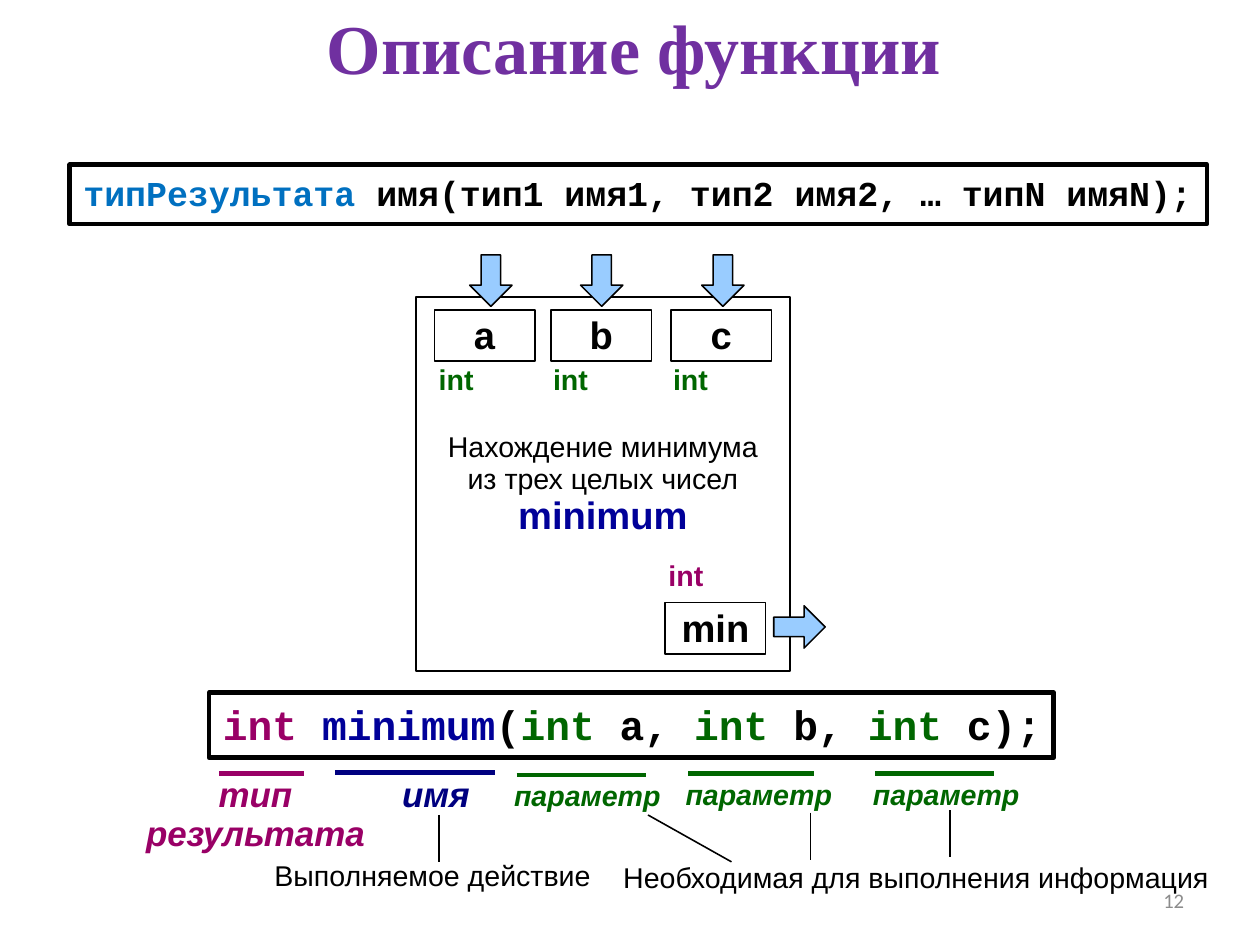
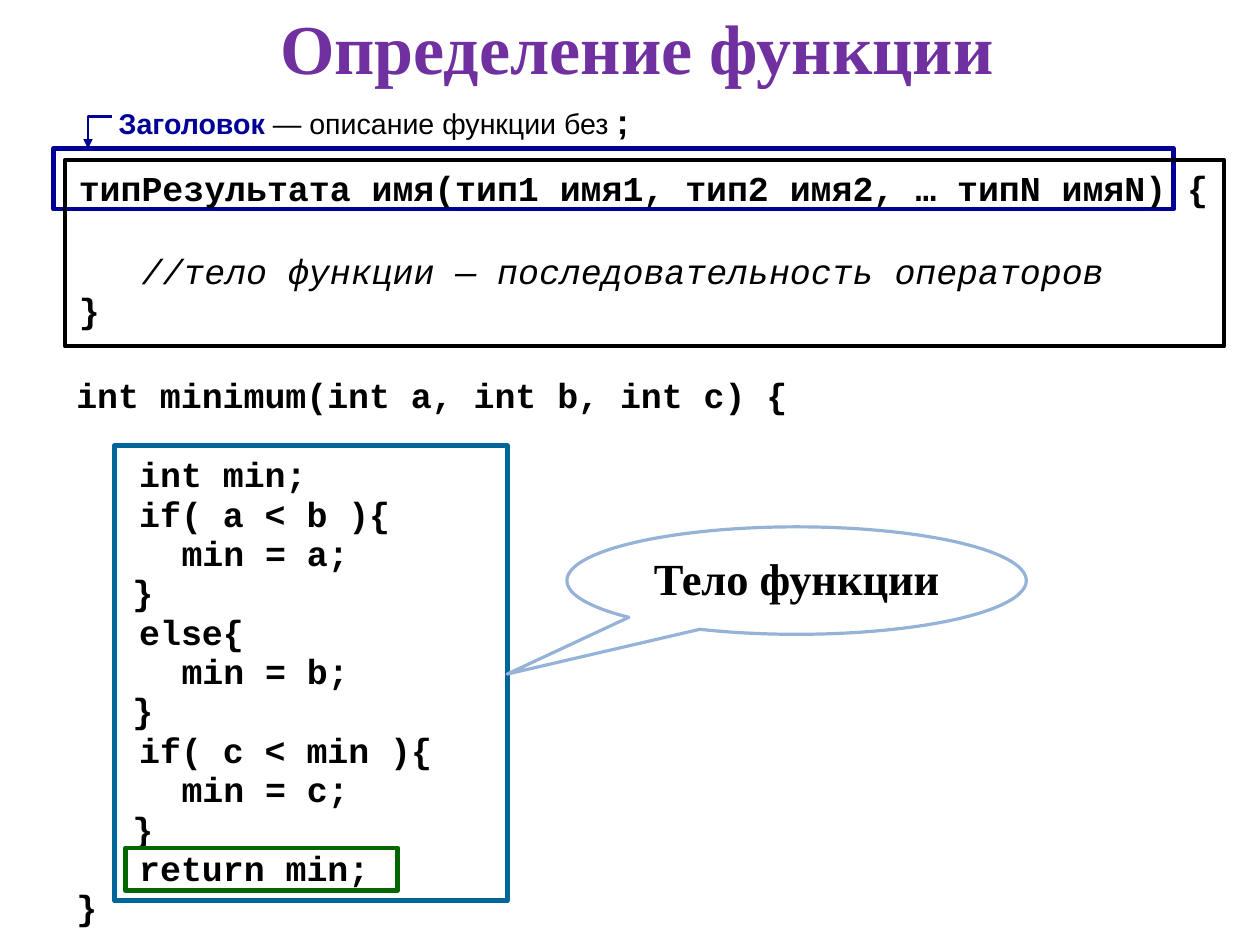
from lxml import etree
from pptx import Presentation
from pptx.dml.color import RGBColor
from pptx.enum import shapes, text
from pptx.oxml import ns
from pptx import util as u

PX = 9144
SLIDE_WIDTH, SLIDE_HEIGHT = u.Emu(10080625), u.Emu(7559675)

BLACK = RGBColor(0x00, 0x00, 0x00)
PURPLE = RGBColor(0x70, 0x30, 0xA0)
GRAY = RGBColor(0x8C, 0x8C, 0x8C)
PLUM = RGBColor(0x99, 0x00, 0x66)
SKY = RGBColor(0x00, 0x70, 0xC0)
BLUE = RGBColor(0x00, 0x00, 0x99)
NAVY = RGBColor(0x00, 0x00, 0x80)
GREEN = RGBColor(0x00, 0x66, 0x00)
TEAL = RGBColor(0x00, 0x66, 0x99)
PALE_BLUE = RGBColor(0x99, 0xCC, 0xFF)
STEEL = RGBColor(0x95, 0xB3, 0xD7)

SANS, SERIF, MONO = "Arial", "Times New Roman", "Courier New"
LEFT, CENTER, RIGHT = text.PP_ALIGN.LEFT, text.PP_ALIGN.CENTER, text.PP_ALIGN.RIGHT
TOP, MIDDLE = text.MSO_ANCHOR.TOP, text.MSO_ANCHOR.MIDDLE
SHAPE = shapes.MSO_SHAPE

LABEL_INSETS = (10, 7, 10, 5)
BOX_INSETS = (11, 8, 11, 6)
CODE_INSETS = (12, 9, 12, 7)
TITLE_INSETS = (11, 4, 11, 6)


def px(*values):
    return [u.Emu(v * PX) for v in values]


def write_run(p, content, size, font, color, bold=False, italic=False):
    for i, line in enumerate(content.split("\n")):
        if i:
            p.add_line_break()
        if not line:
            continue
        r = p.add_run()
        r.text = line
        r.font.size = u.Pt(size)
        r.font.name = font
        r.font.color.rgb = color
        r.font.bold = bold
        r.font.italic = italic


def write_text(sp, paras, align=LEFT, anchor=TOP, insets=LABEL_INSETS, wrap=True,
               spacing=0.93, size=18, font=SANS, color=BLACK, bold=False, italic=False):
    base = dict(size=size, font=font, color=color, bold=bold, italic=italic)
    tf = sp.text_frame
    tf.word_wrap = wrap
    tf.vertical_anchor = anchor
    tf.margin_left, tf.margin_top, tf.margin_right, tf.margin_bottom = px(*insets)
    if isinstance(paras, str):
        paras = [(paras, 0, 0)]
    for i, (runs, indent, before) in enumerate(paras):
        p = tf.paragraphs[0] if i == 0 else tf.add_paragraph()
        p.alignment = align
        p.line_spacing = spacing
        p.space_before = u.Pt(before)
        if indent:
            p._p.get_or_add_pPr().set("marL", str(indent * PX))
        if isinstance(runs, str):
            runs = [(runs, {})]
        for content, changes in runs:
            write_run(p, content, **{**base, **changes})


def add_label(slide, at, paras, **fmt):
    sp = slide.shapes.add_textbox(*px(*at))
    write_text(sp, paras, **fmt)


def style(sp, line, weight, fill=None):
    sp.shadow.inherit = False
    sp.line.color.rgb = line
    sp.line.width = u.Pt(weight)
    if fill is None:
        sp.fill.background()
    else:
        sp.fill.solid()
        sp.fill.fore_color.rgb = fill


def add_figure(slide, kind, at, line=BLACK, weight=1, fill=None, adj=(), paras=None, **fmt):
    sp = slide.shapes.add_shape(kind, *px(*at))
    style(sp, line, weight, fill)
    for i, value in enumerate(adj):
        sp.adjustments[i] = value
    if paras:
        write_text(sp, paras, **fmt)


def add_code_box(slide, at, paras, **fmt):
    add_figure(slide, SHAPE.RECTANGLE, at, weight=2.83, paras=paras, insets=CODE_INSETS,
               wrap=False, spacing=0.94, font=MONO, bold=True, **fmt)


def add_variable(slide, x, y, name):
    add_figure(slide, SHAPE.RECTANGLE, (x, y, 88, 45), paras=name, align=CENTER,
               anchor=MIDDLE, insets=BOX_INSETS, size=24, bold=True)


def add_type(slide, x, y, color):
    add_label(slide, (x, y, 55, 41), "int", color=color, bold=True)


def add_arrow(slide, kind, at):
    add_figure(slide, kind, at, fill=PALE_BLUE, adj=(0.46, 0.5))


def add_line(slide, x1, y1, x2, y2, color=BLACK, weight=1):
    c = slide.shapes.add_connector(shapes.MSO_CONNECTOR.STRAIGHT, *px(x1, y1, x2, y2))
    c.line.color.rgb = color
    c.line.width = u.Pt(weight)
    etree.SubElement(c._element.spPr, ns.qn("a:effectLst"))


def add_elbow_arrow(slide, start, *points):
    fb = slide.shapes.build_freeform(*start, scale=PX)
    fb.add_line_segments(points, close=False)
    sp = fb.convert_to_shape()
    style(sp, BLUE, 1.5)
    etree.SubElement(sp.line._get_or_add_ln(), ns.qn("a:tailEnd"), type="triangle")


def add_slide(prs, title, x, width):
    slide = prs.slides.add_slide(prs.slide_layouts[6])
    add_label(slide, (x, 4, width, 75), title, align=CENTER, anchor=MIDDLE, spacing=1.0,
              insets=TITLE_INSETS, size=44.1, font=SERIF, color=PURPLE, bold=True)
    return slide


def draw_function_box(slide):
    body = [([("Нахождение минимума\nиз трех целых чисел\n", {}),
              ("minimum", dict(size=24, color=BLUE, bold=True))], 0, 0)]
    add_figure(slide, SHAPE.RECTANGLE, (364, 260, 327, 327), weight=1.5, paras=body,
               align=CENTER, anchor=MIDDLE, insets=BOX_INSETS)
    for name, box_x, arrow_x, type_x in (("a", 380, 411, 374), ("b", 482, 508, 474),
                                         ("c", 587, 614, 579)):
        add_variable(slide, box_x, 271, name)
        add_arrow(slide, SHAPE.DOWN_ARROW, (arrow_x, 223, 37, 45))
        add_type(slide, type_x, 312, GREEN)
    add_variable(slide, 582, 527, "min")
    add_arrow(slide, SHAPE.RIGHT_ARROW, (677, 530, 45, 37))
    add_type(slide, 575, 484, PLUM)


def draw_signature(slide):
    kind = ("int", dict(color=GREEN))
    runs = [("int ", dict(color=PLUM)), ("minimum", dict(color=BLUE)), ("(", {}), kind,
            (" a, ", {}), kind, (" b, ", {}), kind, (" c);", {})]
    add_code_box(slide, (183, 606, 739, 57), [(runs, 0, 0)], size=26)

    add_line(slide, 192, 677, 266, 677, PLUM, 3)
    add_label(slide, (113, 672, 221, 78), "тип\nрезультата", align=CENTER,
              size=22, color=PLUM, bold=True, italic=True)
    add_line(slide, 293, 676, 433, 676, NAVY, 3)
    add_label(slide, (342, 672, 79, 44), "имя", wrap=False, size=22, color=NAVY,
              bold=True, italic=True)
    for x, y, length in ((452, 678, 113), (602, 677, 110), (766, 677, 104)):
        add_line(slide, x, y, x + length, y, GREEN, 3)
        add_label(slide, (x - 12, y - 2, 176, 44), "параметр", color=GREEN,
                  bold=True, italic=True)

    for x1, y, x2 in ((384, 713, 384), (567, 713, 640), (709, 711, 709), (831, 709, 831)):
        add_line(slide, x1, y, x2, y + 41)
    add_label(slide, (230, 746, 297, 38), "Выполняемое действие", align=CENTER, wrap=False)
    add_label(slide, (530, 748, 543, 38), "Необходимая для выполнения информация",
              align=CENTER)


def draw_declaration(prs):
    slide = add_slide(prs, "Описание функции", 59, 992)
    add_label(slide, (790, 766, 257, 44), "12", align=RIGHT, anchor=MIDDLE, spacing=1.0,
              insets=(11, 6, 11, 6), size=13, font="Calibri", color=GRAY)
    syntax = [("типРезультата", dict(color=SKY)),
              (" имя(тип1 имя1, тип2 имя2, … типN имяN);", {})]
    add_code_box(slide, (61, 144, 995, 52), [(syntax, 0, 0)], size=22)
    draw_function_box(slide)
    draw_signature(slide)


def draw_definition(prs):
    slide = add_slide(prs, "Определение функции", 93, 929)
    add_figure(slide, SHAPE.RECTANGLE, (47, 130, 980, 53), BLUE, 3)
    heading = [("Заголовок", dict(color=BLUE, bold=True)),
               (" — описание функции без ", {}), (";", dict(size=22, bold=True))]
    add_label(slide, (94, 83, 515, 44), [(heading, 0, 0)])
    add_elbow_arrow(slide, (98, 102), (77, 102), (77, 130))

    comment = [("//тело функции — последовательность операторов",
                dict(bold=False, italic=True))]
    add_code_box(slide, (57, 140, 1014, 163),
                 [("типРезультата имя(тип1 имя1, тип2 имя2, … типN имяN) {", 0, 0),
                  (comment, 55, 27), ("}", 0, 0)], size=22)

    brace, inner, deep = 49, 55, 92
    code = [("int minimum(int a, int b, int c) {", 0, 0), ("int min;", inner, 25)]
    for head, value in (("if( a < b ){", "a"), ("else{", "b"), ("if( c < min ){", "c")):
        code += [(head, inner, 0), (f"min = {value};", deep, 0), ("}", brace, 0)]
    code += [("return min;", inner, 0), ("}", 0, 0)]
    add_label(slide, (57, 323, 957, 504), code, spacing=0.94, size=22, font=MONO, bold=True)

    add_figure(slide, SHAPE.RECTANGLE, (110, 742, 238, 37), GREEN, 3)
    add_figure(slide, SHAPE.RECTANGLE, (100, 390, 344, 398), TEAL, 3)
    add_figure(slide, SHAPE.OVAL_CALLOUT, (496, 461, 402, 94), STEEL, 2, adj=(-0.63, 0.87),
               paras="Тело функции", align=CENTER, anchor=MIDDLE, insets=(10, 5, 10, 5),
               size=28, font=SERIF, bold=True)


def main():
    prs = Presentation()
    prs.slide_width, prs.slide_height = SLIDE_WIDTH, SLIDE_HEIGHT
    draw_declaration(prs)
    draw_definition(prs)
    prs.save("out.pptx")


if __name__ == "__main__":
    main()
